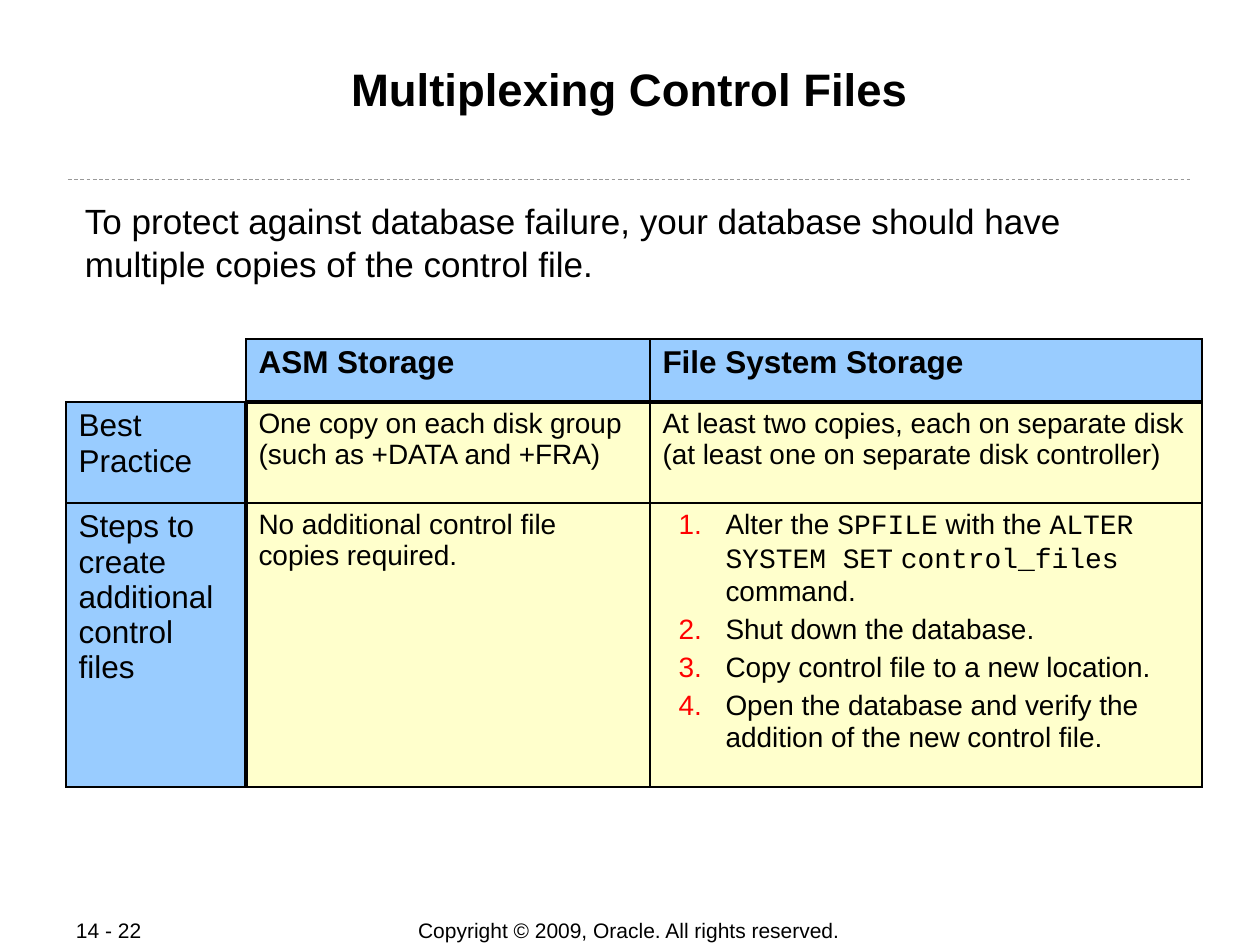
from dataclasses import dataclass

from lxml.etree import SubElement
from pptx import Presentation
from pptx.dml.color import RGBColor
from pptx.enum.dml import MSO_LINE
from pptx.enum.shapes import MSO_CONNECTOR
from pptx.enum.text import MSO_ANCHOR as Anchor, PP_ALIGN as Align
from pptx.oxml.ns import qn
from pptx.util import Pt

PX = 914400 / 126
COLORS = {
    "text": "000000",
    "rule": "999999",
    "header": "99CCFF",
    "body": "FFFFCC",
    "number": "FF0000",
}
THIN, THICK = 1.08, 2.21
MONO = "Courier New"


@dataclass(frozen=True)
class Label:
    text: str
    left: int
    top: int
    width: int
    height: int
    size: int
    bold: bool = False
    align: Align = Align.LEFT
    anchor: Anchor = Anchor.TOP
    margins: tuple[int, int] = (1, 1)
    wrap: bool = True


FOOTER = dict(size=12, anchor=Anchor.MIDDLE, margins=(13, 6), wrap=False)
LABELS = [
    Label("Copyright © 2009, Oracle. All rights reserved.", 346, 917, 566, 27,
          align=Align.CENTER, **FOOTER),
    Label("14 - 22", 63, 917, 134, 27, **FOOTER),
    Label("Multiplexing Control Files", 84, 60, 1091, 121, 26, bold=True, align=Align.CENTER),
    Label("To protect against database failure, your database should have "
          "multiple copies of the control file.", 84, 199, 1079, 87, 20),
]

COLUMN_WIDTHS = [180, 404, 552]
ROW_HEIGHTS = [63, 101, 284]
ROWS = [
    ["", "ASM Storage", "File System Storage"],
    ["Best Practice",
     "One copy on each disk group (such as +DATA and +FRA)",
     "At least two copies, each on separate disk (at least one on separate disk controller)"],
    ["Steps to create additional control files",
     "No additional control file copies required.", ""],
]
# Each step is a list of (text, is monospaced) spans.
STEPS = [
    [("Alter the ", False), ("SPFILE", True), (" with the ", False),
     ("ALTER SYSTEM SET", True), (" ", False), ("control_files", True), (" command.", False)],
    [("Shut down the database.", False)],
    [("Copy control file to a new location.", False)],
    [("Open the database and verify the addition of the new control file.", False)],
]


def emu(pixels: int) -> int:
    return round(pixels * PX)


def color(name: str) -> RGBColor:
    return RGBColor.from_string(COLORS[name])


def set_font(para, size: int, bold: bool = False) -> None:
    font = para.font
    font.name, font.size, font.bold = "Arial", Pt(size), bold
    font.color.rgb = color("text")


def add_label(page, label: Label) -> None:
    box = page.shapes.add_textbox(*map(emu, (label.left, label.top, label.width, label.height)))
    frame = box.text_frame
    frame.word_wrap = label.wrap
    frame.vertical_anchor = label.anchor
    side, end = map(emu, label.margins)
    frame.margin_left = frame.margin_right = side
    frame.margin_top = frame.margin_bottom = end
    para = frame.paragraphs[0]
    para.text = label.text
    para.alignment = label.align
    set_font(para, label.size, label.bold)


def add_rule(page) -> None:
    rule = page.shapes.add_connector(MSO_CONNECTOR.STRAIGHT, *map(emu, (68, 179, 1192, 179)))
    rule.line.color.rgb = color("rule")
    rule.line.width = Pt(0.5)
    rule.line.dash_style = MSO_LINE.DASH
    SubElement(rule._element.spPr, qn("a:effectLst"))


def border_widths(row: int, column: int) -> dict[str, float]:
    """Thick where a heading meets the body, none outside the empty corner."""
    if row == column == 0:
        return {"L": 0, "R": THIN, "T": 0, "B": THIN}
    thick = {
        "L": column == 1 and row > 0,
        "R": column == 0,
        "T": row == 1 and column > 0,
        "B": row == 0,
    }
    return {side: THICK if is_thick else THIN for side, is_thick in thick.items()}


def set_borders(cell, widths: dict[str, float]) -> None:
    properties = cell._tc.get_or_add_tcPr()
    for side, width in widths.items():
        line = SubElement(properties, qn(f"a:ln{side}"), w=str(Pt(width)))
        if width:
            fill = SubElement(line, qn("a:solidFill"))
            SubElement(fill, qn("a:srgbClr"), val=COLORS["text"])
        else:
            SubElement(line, qn("a:noFill"))


def number_paragraph(para) -> None:
    properties = para._p.get_or_add_pPr()
    properties.set("marL", str(emu(63)))
    properties.set("indent", str(-emu(47)))
    bullet_color = SubElement(properties, qn("a:buClr"))
    SubElement(bullet_color, qn("a:srgbClr"), val=COLORS["number"])
    SubElement(properties, qn("a:buFont"), typeface="Arial")
    SubElement(properties, qn("a:buAutoNum"), type="arabicPeriod")


def write_steps(frame) -> None:
    for index, step in enumerate(STEPS):
        para = frame.add_paragraph() if index else frame.paragraphs[0]
        number_paragraph(para)
        if index:
            para.space_before = Pt(4)
        set_font(para, 16)
        for text, is_mono in step:
            span = para.add_run()
            span.text = text
            if is_mono:
                span.font.name = MONO


def add_storage_table(page) -> None:
    frame = page.shapes.add_table(len(ROWS), len(COLUMN_WIDTHS), emu(66), emu(339),
                                  emu(sum(COLUMN_WIDTHS)), emu(sum(ROW_HEIGHTS)))
    table = frame.table
    table.first_row = table.horz_banding = False
    for column, width in zip(table.columns, COLUMN_WIDTHS):
        column.width = emu(width)
    for row, height in zip(table.rows, ROW_HEIGHTS):
        row.height = emu(height)
    for r, texts in enumerate(ROWS):
        for c, text in enumerate(texts):
            cell = table.cell(r, c)
            set_borders(cell, border_widths(r, c))
            if r == c == 0:
                cell.fill.background()
                continue
            is_header = r == 0 or c == 0
            cell.fill.solid()
            cell.fill.fore_color.rgb = color("header" if is_header else "body")
            if text:
                para = cell.text_frame.paragraphs[0]
                para.text = text
                set_font(para, 18 if is_header else 16, bold=r == 0)
    write_steps(table.cell(2, 2).text_frame)


def main() -> None:
    deck = Presentation()
    deck.slide_width, deck.slide_height = emu(1260), emu(945)
    page = deck.slides.add_slide(deck.slide_layouts[6])
    add_rule(page)
    for label in LABELS:
        add_label(page, label)
    add_storage_table(page)
    deck.save("out.pptx")


if __name__ == "__main__":
    main()
